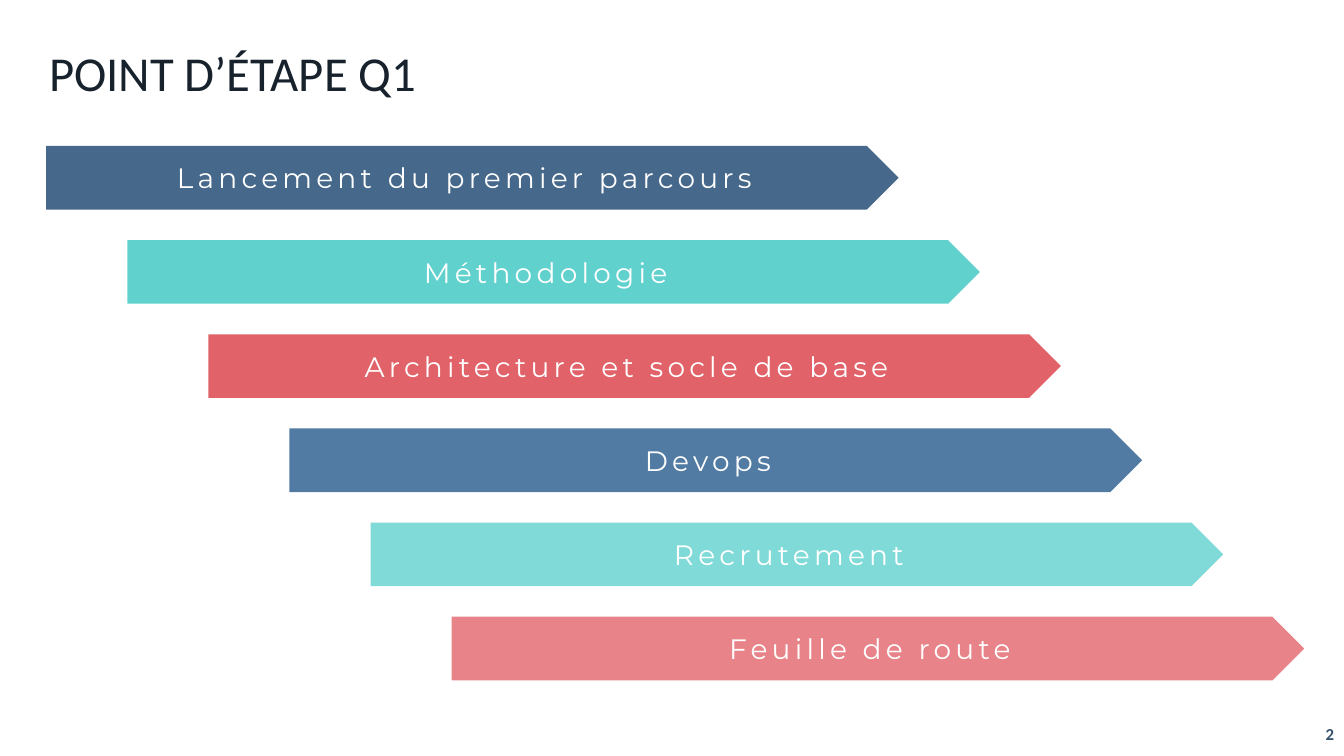
from pptx import Presentation
from pptx.dml.color import RGBColor
from pptx.enum.shapes import MSO_SHAPE
from pptx.enum.text import MSO_ANCHOR, MSO_AUTO_SIZE, PP_ALIGN
from pptx.util import Pt

PENTAGON = MSO_SHAPE.PENTAGON
MIDDLE = MSO_ANCHOR.MIDDLE
FIT_SHAPE = MSO_AUTO_SIZE.SHAPE_TO_FIT_TEXT
LEFT, CENTER, RIGHT = PP_ALIGN.LEFT, PP_ALIGN.CENTER, PP_ALIGN.RIGHT
TITLE_ONLY = 5

COLORS = {
    "ink": "17222C",
    "number": "36526E",
    "white": "FFFFFF",
    "navy": "45688B",
    "teal": "61D1CE",
    "red": "E16268",
    "blue": "527BA4",
    "light teal": "80DAD8",
    "pink": "E88489",
}

STEPS = [
    ("Lancement du premier parcours", "navy"),
    ("Méthodologie", "teal"),
    ("Architecture et socle de base", "red"),
    ("Devops", "blue"),
    ("Recrutement", "light teal"),
    ("Feuille de route", "pink"),
]

# Staircase of arrows, in points
FIRST_LEFT, FIRST_TOP = 33, 104.3
STEP_RIGHT, STEP_DOWN = 57.93, 67.25
ARROW_WIDTH, ARROW_HEIGHT = 609, 45.4


def color(name):
    return RGBColor.from_string(COLORS[name])


def write(box, text, size, font_name, ink, align, bold=False, **extras):
    """Write one middle-anchored paragraph; extras are raw font attributes."""
    frame = box.text_frame
    frame.word_wrap = True
    frame.vertical_anchor = MIDDLE
    para = frame.paragraphs[0]
    para.text = text
    para.alignment = align
    font = para.font
    font.size, font.name, font.bold = Pt(size), font_name, bold
    font.color.rgb = color(ink)
    properties = para._p.get_or_add_pPr().get_or_add_defRPr()
    for key, value in extras.items():
        properties.set(key, value)


def set_title(page, text):
    title = page.shapes.title
    title.left, title.top = Pt(33), Pt(22.3)
    title.width, title.height = Pt(602.6), Pt(52.6)
    write(title, text, 60, "Calibri", "ink", LEFT, baseline="12000")
    frame = title.text_frame
    frame.margin_left = frame.margin_right = Pt(2)
    frame.margin_top = frame.margin_bottom = Pt(2)
    frame.auto_size = FIT_SHAPE


def add_arrow(page, index, text, fill):
    arrow = page.shapes.add_shape(
        PENTAGON,
        Pt(FIRST_LEFT + index * STEP_RIGHT), Pt(FIRST_TOP + index * STEP_DOWN),
        Pt(ARROW_WIDTH), Pt(ARROW_HEIGHT))
    arrow.shadow.inherit = False
    arrow.fill.solid()
    arrow.fill.fore_color.rgb = color(fill)
    arrow.line.fill.background()
    write(arrow, text, 20, "Montserrat", "white", CENTER, spc="300")


def add_page_number(page, number):
    box = page.shapes.add_textbox(Pt(918.8), Pt(507.6), Pt(41.2), Pt(32.4))
    write(box, number, 12, "Calibri", "number", RIGHT, bold=True)


def main():
    deck = Presentation()
    deck.slide_width, deck.slide_height = Pt(960), Pt(540)
    page = deck.slides.add_slide(deck.slide_layouts[TITLE_ONLY])

    # Heading and page number
    set_title(page, "POINT D’ÉTAPE Q1")
    add_page_number(page, "2")

    # Steps
    for index, (text, fill) in enumerate(STEPS):
        add_arrow(page, index, text, fill)

    deck.save("out.pptx")


if __name__ == "__main__":
    main()
